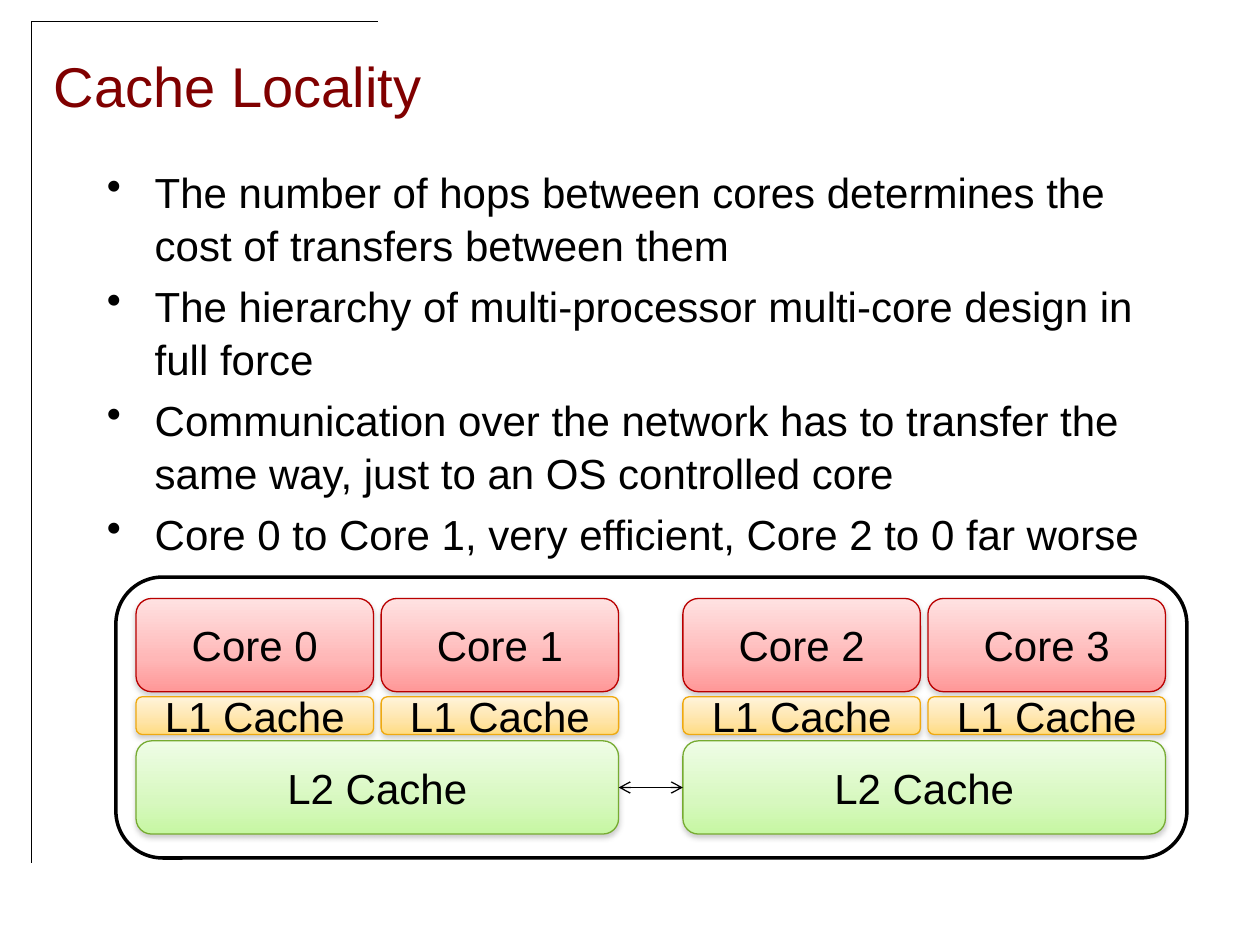
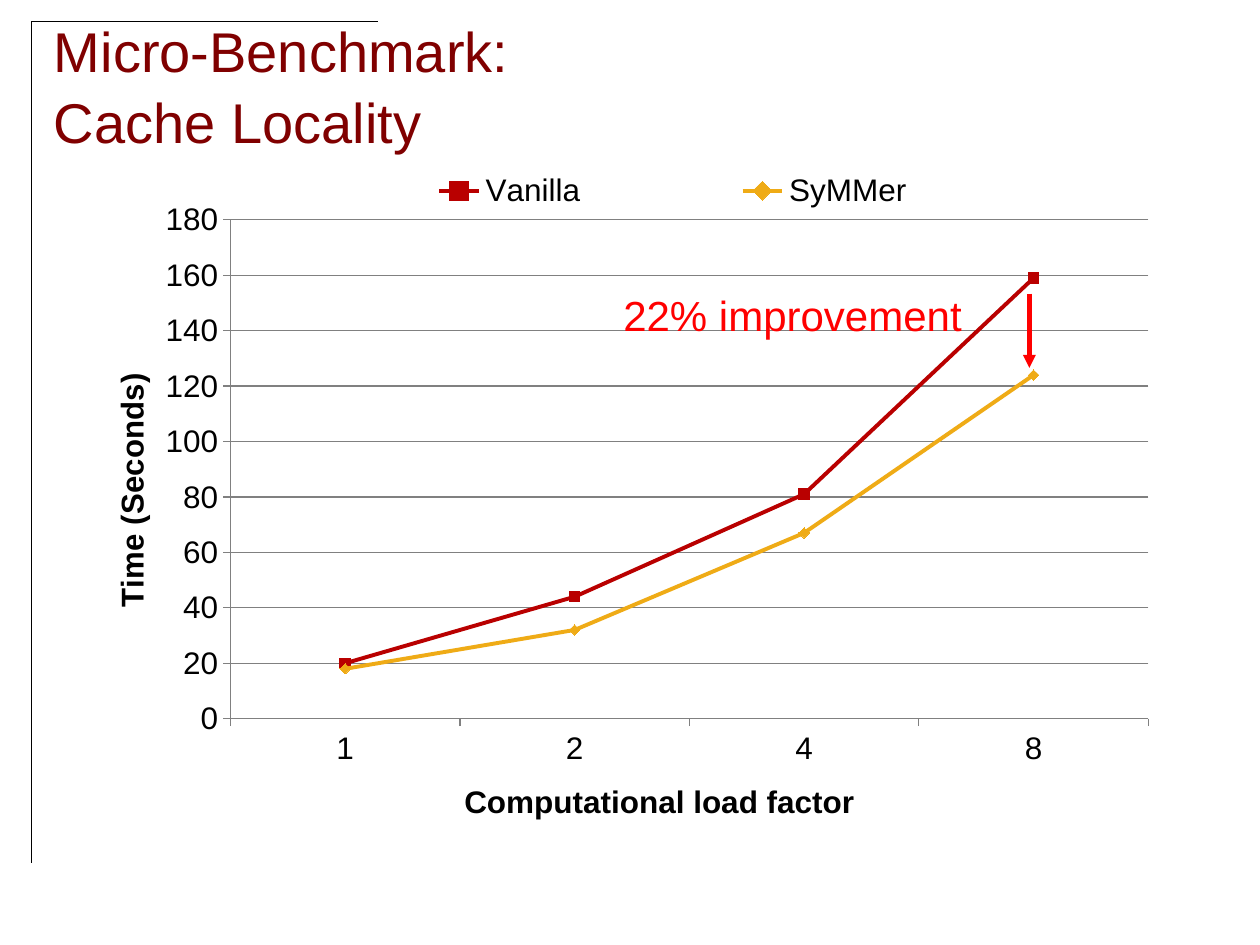
from dataclasses import dataclass

from lxml.etree import SubElement
from pptx import Presentation
from pptx.chart.data import CategoryChartData
from pptx.dml.color import RGBColor
from pptx.enum.chart import (XL_CHART_TYPE, XL_LEGEND_POSITION,
                             XL_MARKER_STYLE, XL_TICK_MARK)
from pptx.enum.shapes import MSO_CONNECTOR, MSO_SHAPE
from pptx.enum.text import MSO_ANCHOR, PP_ALIGN
from pptx.oxml.ns import qn
from pptx.util import Inches, Pt


@dataclass(frozen=True)
class Theme:
    font: str = "Arial"
    title: str = "800000"
    ink: str = "000000"
    paper: str = "FFFFFF"
    alert: str = "FF0000"
    grid: str = "808080"
    head: int = 32
    body: int = 24
    label: int = 18
    lead: float = 1.05


THEME = Theme()

# Content
RULES = [(0.25, 0.17, 0.25, 0.75), (0.25, 0.17, 3, 0.17),
         (0.25, 0.75, 0.25, 6.85)]

POINTS = [
    "The number of hops between cores determines the cost of transfers between them",
    "The hierarchy of multi-processor multi-core design in full force",
    "Communication over the network has to transfer the same way, just to an OS controlled core",
    "Core 0 to Core 1, very efficient, Core 2 to 0 far worse",
]

# Each row of a chip: labels per chip, top, height, line colour, gradient
STOPS = (0, 65, 100)
CHIPS = (1.08, 5.42)
CHIP_W, GAP = 3.83, 0.06
ROWS = [
    ([["Core 0", "Core 1"], ["Core 2", "Core 3"]], 4.75, 0.74,
     "B90000", ("FFE2E2", "FFB7B7", "FF9797")),
    ([["L1 Cache"] * 2] * 2, 5.53, 0.3,
     "EFA910", ("FFF4DB", "FFE4A7", "FFDC81")),
    ([["L2 Cache"]] * 2, 5.88, 0.74,
     "76AB31", ("EFFDE6", "D7F8BF", "C6F7A2")),
]

LOADS = ["1", "2", "4", "8"]
SERIES = [
    ("Vanilla", (20, 44, 81, 159), "B90000", XL_MARKER_STYLE.SQUARE),
    ("SyMMer", (18, 32, 67, 124), "EFAB16", XL_MARKER_STYLE.DIAMOND),
]


# Helpers
def rgb(code):
    return RGBColor.from_string(code)


def style(font, size, color=THEME.ink):
    font.name, font.size = THEME.font, Pt(size)
    font.color.rgb = rgb(color)


def write(slide, text, box, size, color=THEME.ink):
    frame = slide.shapes.add_textbox(*map(Inches, box)).text_frame
    frame.word_wrap = True
    frame.text = text
    for para in frame.paragraphs:
        style(para.font, size, color)
    return frame


def draw(slide, ends, color, width, **tips):
    """Add a straight line; tips maps headEnd or tailEnd to an arrow type."""
    line = slide.shapes.add_connector(MSO_CONNECTOR.STRAIGHT, *map(Inches, ends))
    line.line.color.rgb = rgb(color)
    line.line.width = Pt(width)
    for tag, kind in tips.items():
        SubElement(line.line._get_or_add_ln(), qn(f"a:{tag}"), type=kind)
    SubElement(line._element.spPr, qn("a:effectLst"))
    return line


def panel(slide, box, color, width):
    shape = slide.shapes.add_shape(MSO_SHAPE.ROUNDED_RECTANGLE, *map(Inches, box))
    shape.shadow.inherit = False
    shape.fill.solid()
    shape.fill.fore_color.rgb = rgb(THEME.paper)
    shape.line.color.rgb = rgb(color)
    shape.line.width = Pt(width)
    return shape


def block(slide, text, box, edge, tints):
    """Add a labelled panel with a gradient and a soft shadow."""
    shape = panel(slide, box, edge, 0.75)
    shape.fill.gradient()
    shape.fill.gradient_angle = 270
    props = shape._element.spPr
    stops = props.find(qn("a:gradFill")).find(qn("a:gsLst"))
    for old in list(stops):
        stops.remove(old)
    for place, tint in zip(STOPS, tints):
        stop = SubElement(stops, qn("a:gs"), pos=str(place * 1000))
        SubElement(stop, qn("a:srgbClr"), val=tint)
    shade = SubElement(props.find(qn("a:effectLst")), qn("a:outerShdw"),
                       blurRad=str(Pt(3.1)), dist=str(Pt(1.6)),
                       dir="5400000", rotWithShape="0")
    tone = SubElement(shade, qn("a:srgbClr"), val=THEME.grid)
    SubElement(tone, qn("a:alpha"), val="38000")
    frame = shape.text_frame
    frame.text = text
    frame.vertical_anchor = MSO_ANCHOR.MIDDLE
    frame.paragraphs[0].alignment = PP_ALIGN.CENTER
    style(frame.paragraphs[0].font, THEME.body)
    return shape


def pin(node, index, inner=False, **spots):
    """Give a chart part a fixed place, in fractions of the chart."""
    old = node.find(qn("c:layout"))
    if old is not None:
        node.remove(old)
    layout = node.makeelement(qn("c:layout"))
    node.insert(index, layout)
    manual = SubElement(layout, qn("c:manualLayout"))
    if inner:
        SubElement(manual, qn("c:layoutTarget"), val="inner")
    for key in ("x", "y"):
        SubElement(manual, qn(f"c:{key}Mode"), val="edge")
    for key, value in spots.items():
        SubElement(manual, qn(f"c:{key}"), val=str(value))


def start(deck, title):
    """Add a slide with the corner rules and a title."""
    slide = deck.slides.add_slide(deck.slide_layouts[6])
    for ends in RULES:
        draw(slide, ends, THEME.ink, 0.25)
    frame = write(slide, title, (0.33, 0.25, 9.58, 0.83), THEME.head, THEME.title)
    frame.vertical_anchor = MSO_ANCHOR.MIDDLE
    frame.paragraphs[0].line_spacing = THEME.lead
    return slide


def list_points(slide):
    frame = write(slide, "\n".join(POINTS), (0.75, 1.25, 8.5, 3.25), THEME.body)
    for index, para in enumerate(frame.paragraphs):
        props = para._p.get_or_add_pPr()
        props.set("marL", str(Inches(0.38)))
        props.set("indent", str(-Inches(0.38)))
        para.line_spacing = THEME.lead
        if index:
            para.space_before = Pt(4.8)
        bullet = props.makeelement(qn("a:buChar"), char="•")
        props.find(qn("a:defRPr")).addprevious(bullet)


def draw_chips(slide):
    panel(slide, (0.92, 4.58, 8.5, 2.23), THEME.ink, 2)
    ends = []
    for chip, left in enumerate(CHIPS):
        for labels, top, height, edge, tints in ROWS:
            names = labels[chip]
            width = (CHIP_W - GAP * (len(names) - 1)) / len(names)
            for col, name in enumerate(names):
                box = (left + col * (width + GAP), top, width, height)
                last = block(slide, name, box, edge, tints)
        ends.append(last)
    link = draw(slide, (4.92, 6.25, 5.42, 6.25), THEME.ink, 0.75,
                headEnd="arrow", tailEnd="arrow")
    link.begin_connect(ends[0], 3)
    link.end_connect(ends[1], 1)


def set_axis(axis, title, x, y):
    axis.has_title = True
    frame = axis.axis_title.text_frame
    frame.text = title
    font = frame.paragraphs[0].runs[0].font
    style(font, THEME.label)
    font.bold = True
    pin(axis.axis_title._element, 1, x=x, y=y)
    axis.major_tick_mark = XL_TICK_MARK.OUTSIDE
    axis.minor_tick_mark = XL_TICK_MARK.NONE
    axis.format.line.color.rgb = rgb(THEME.grid)


def plot_times(slide):
    data = CategoryChartData()
    data.categories = LOADS
    for name, values, *_ in SERIES:
        data.add_series(name, values)
    box = map(Inches, (0.75, 1.25, 8.5, 5.33))
    chart = slide.shapes.add_chart(XL_CHART_TYPE.LINE_MARKERS, *box, data).chart
    chart.has_title = False
    style(chart.font, THEME.label)
    chart.has_legend = True
    chart.legend.position = XL_LEGEND_POSITION.TOP
    chart.legend.include_in_layout = False
    pin(chart.legend._element, 1, x=0.18, y=0.01, w=0.72, h=0.08)
    pin(chart._chartSpace.chart.plotArea, 0, inner=True,
        x=0.127, y=0.094, w=0.857, h=0.751)

    set_axis(chart.category_axis, "Computational load factor", 0.34, 0.93)
    times = chart.value_axis
    set_axis(times, "Time (Seconds)", 0.01, 0.32)
    times.minimum_scale, times.maximum_scale, times.major_unit = 0, 180, 20
    times.has_major_gridlines = True
    times.major_gridlines.format.line.color.rgb = rgb(THEME.grid)

    plot = chart.plots[0]
    plot.vary_by_categories = False
    for series, (_, _, color, mark) in zip(plot.series, SERIES):
        series.smooth = False
        series.format.line.color.rgb = rgb(color)
        series.format.line.width = Pt(2.25)
        series.marker.style = mark
        series.marker.size = 6
        series.marker.format.fill.solid()
        series.marker.format.fill.fore_color.rgb = rgb(color)
        series.marker.format.line.color.rgb = rgb(color)


def main():
    deck = Presentation()
    deck.slide_width, deck.slide_height = Inches(10), Inches(7.5)

    slide = start(deck, "Cache Locality")
    list_points(slide)
    draw_chips(slide)

    slide = start(deck, "Micro-Benchmark:\vCache Locality")
    plot_times(slide)
    note = write(slide, "22% improvement", (4.58, 2.25, 3.42, 0.5),
                 THEME.body, THEME.alert)
    note.paragraphs[0].alignment = PP_ALIGN.CENTER
    draw(slide, (8.17, 2.33, 8.17, 2.92), THEME.alert, 2.5, tailEnd="triangle")

    deck.save("out.pptx")


if __name__ == "__main__":
    main()
